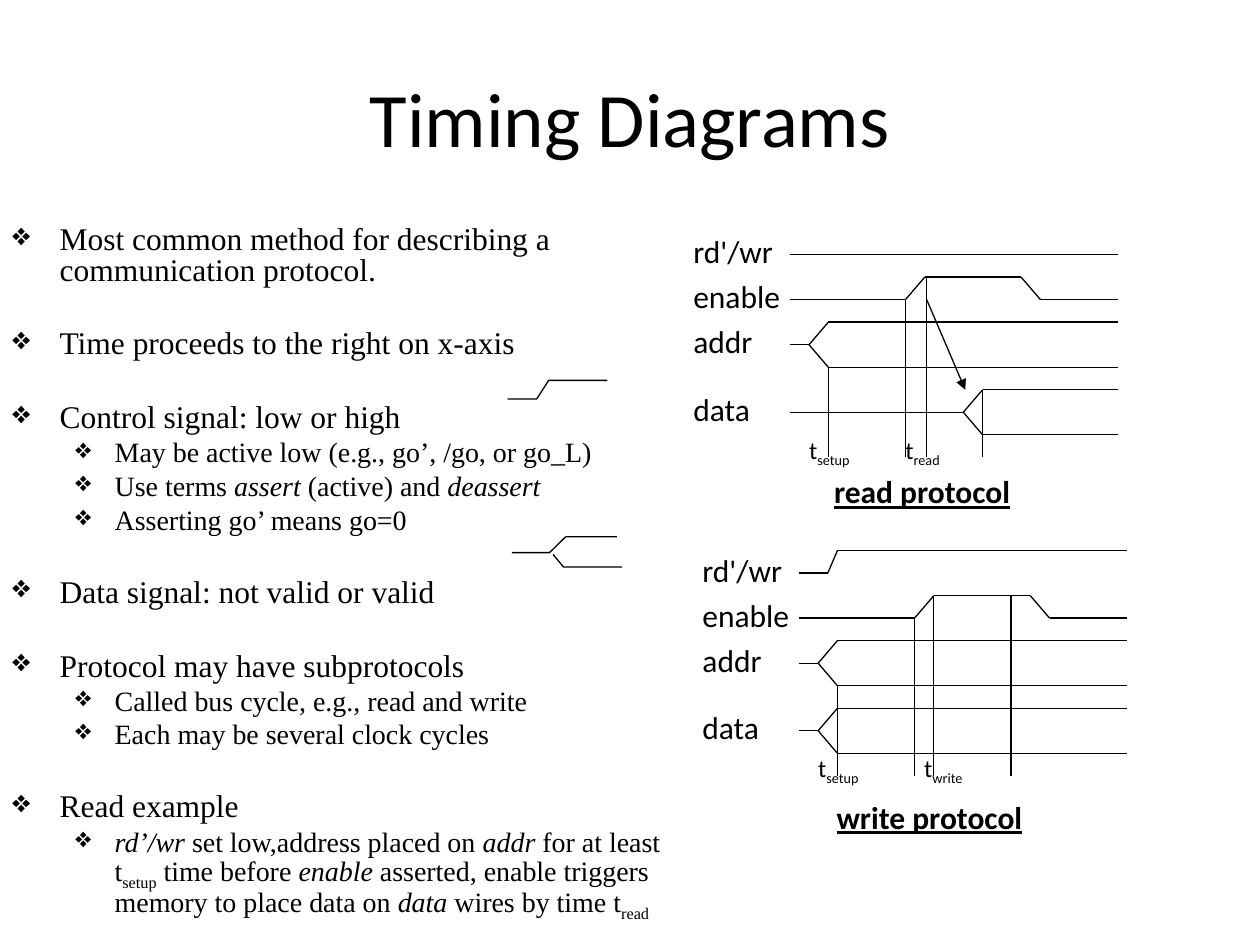
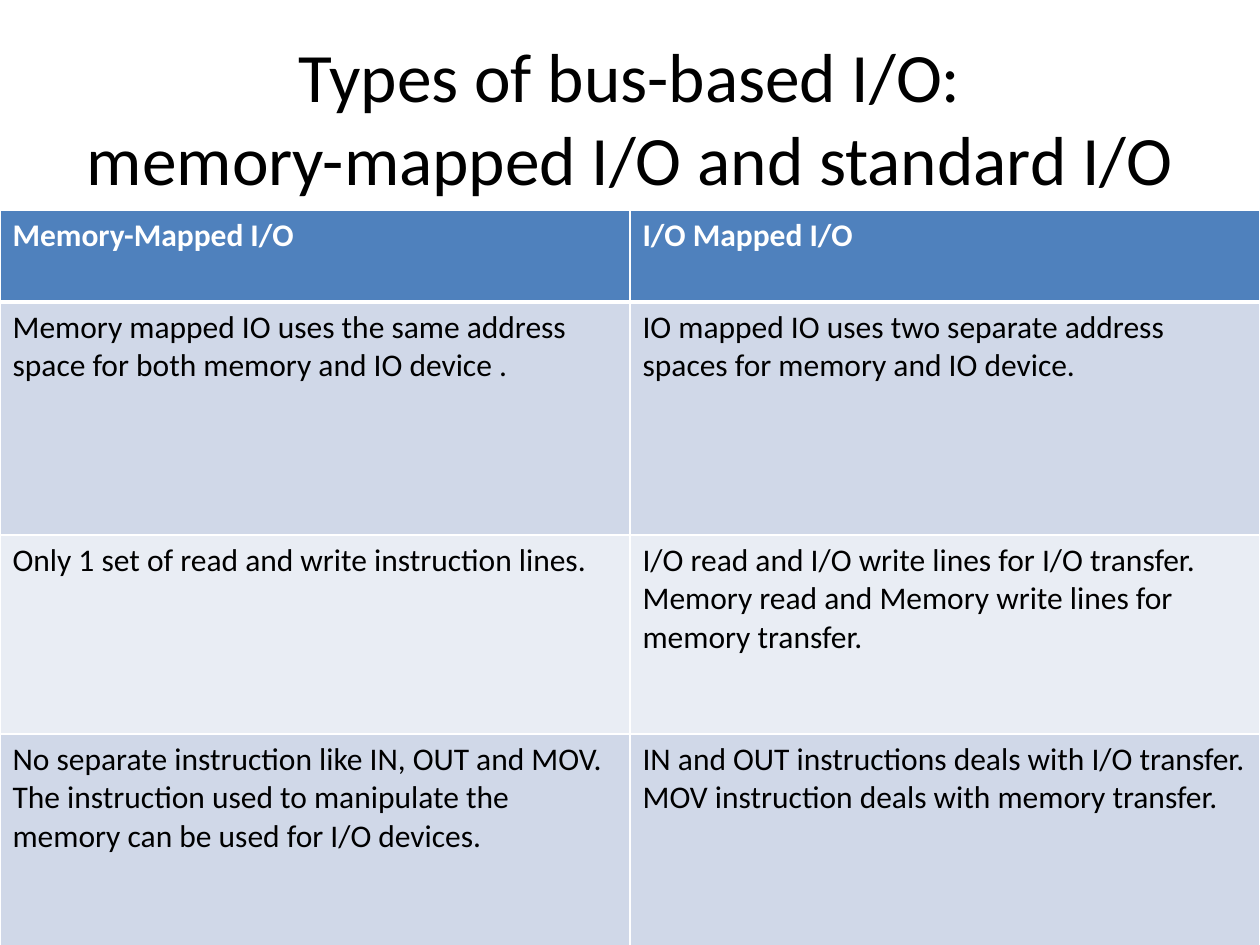
"""Build two slides on bus timing diagrams and types of bus-based I/O."""
from itertools import pairwise

from lxml import etree
from pptx import Presentation
from pptx.dml.color import RGBColor
from pptx.enum.shapes import MSO_CONNECTOR
from pptx.enum.text import MSO_ANCHOR, PP_ALIGN
from pptx.oxml.ns import qn
from pptx.util import Pt

rgb = RGBColor.from_string
BLACK, WHITE = "000000", "FFFFFF"
HEADER, BAND, PALE = "4F81BD", "D0D8E8", "E9EDF4"
STEP, LEVEL = 11.02, 12.87


def add_text(s, box, runs, size, inset=0, bold=False):
    """Add a one-paragraph text box; a run is (text, style), style i or sub."""
    sp = s.shapes.add_textbox(*map(Pt, box))
    tf = sp.text_frame
    tf.margin_left = tf.margin_right = Pt(2 * inset)
    tf.margin_top = tf.margin_bottom = Pt(inset)
    write_runs(tf.paragraphs[0], runs, size, "Calibri", bold)
    return tf


def write_runs(p, runs, size, face="Calibri", bold=False, color=BLACK):
    """Fill a paragraph with runs in one font."""
    p.text = ""
    for text, style in [(r, "") if isinstance(r, str) else r for r in runs]:
        start = len(p.runs)
        if "\v" in text:
            p.text = text
        else:
            p.add_run().text = text
        for r in p.runs[start:]:
            r.font.name = face
            r.font.size = Pt(size)
            r.font.bold = bold
            r.font.color.rgb = rgb(color)
            if style == "i":
                r.font.italic = True
            if style == "sub":
                r.font._element.set("baseline", "-25000")


prs = Presentation()
prs.slide_width, prs.slide_height = Pt(720), Pt(540)

titles = [
    ("Timing Diagrams", 44),
    ("Types of bus-based I/O:\vmemory-mapped I/O and standard I/O", 39.6),
]
for title, size in titles:
    s = prs.slides.add_slide(prs.slide_layouts[6])
    tf = add_text(s, (36, 21.6, 648, 90), [title], size, inset=3.6)
    tf.word_wrap = True
    tf.vertical_anchor = MSO_ANCHOR.MIDDLE
    tf.paragraphs[0].alignment = PP_ALIGN.CENTER
timing, bus_io = prs.slides

bullets = [
    (0, ["Most common method for describing a communication protocol."]),
    (0, ["Time proceeds to the right on x-axis"]),
    (0, ["Control signal: low or high"]),
    (1, ["May be active low (e.g., go’, /go, or go_L)"]),
    (1, ["Use terms ", ("assert", "i"), " (active) and ", ("deassert", "i")]),
    (1, ["Asserting go’ means go=0"]),
    (0, ["Data signal: not valid or valid"]),
    (0, ["Protocol may have subprotocols"]),
    (1, ["Called bus cycle, e.g., read and write"]),
    (1, ["Each may be several clock cycles"]),
    (0, ["Read example"]),
    (1, [("rd’/wr", "i"), " set low,address placed on ", ("addr", "i"),
         " for at least t", ("setup", "sub"), " time before ", ("enable", "i"),
         " asserted, enable triggers memory to place data on ", ("data", "i"),
         " wires by time t", ("read", "sub")]),
]
tf = timing.shapes.add_textbox(Pt(0), Pt(126), Pt(393), Pt(414)).text_frame
tf.word_wrap = True
for i, (level, runs) in enumerate(bullets):
    p = tf.paragraphs[0] if i == 0 else tf.add_paragraph()
    p.level = level
    p.line_spacing = 0.8
    p.space_before = Pt(0 if i == 0 else (24.9, 3.8)[level])
    pPr = p._p.get_or_add_pPr()
    pPr.set("marL", str(Pt((27, 58.5)[level])))
    pPr.set("indent", str(-Pt((27, 22.5)[level])))
    etree.SubElement(pPr, qn("a:buChar")).set("char", "❖")
    write_runs(p, runs, (18, 16)[level], "Times New Roman")

labels = [("rd'/wr", -1), ("enable", 1), ("addr", 3), ("data", 6)]
enable = [(0, 2), (6, 2), (7, 1), (12, 1), (13, 2), (17, 2)]
addr = [[(0, 4), (1, 4), (2, 3), (17, 3)], [(1, 4), (2, 5), (17, 5)]]
protocols = [
    ("read", 451.3, 145.5, [(0, 0), (17, 0)], 9, 6, (476.6, 270),
     [(2, 5), (6, 2), (7.1, 1), (10, 6)]),
    ("write", 456.5, 327.5, [(0, 0), (1.5, 0), (2, -1), (17, -1)], 1, 6.5, (478, 455.8),
     [(2, 5), (6, 2), (7, 1), (11, 1)]),
]
for name, left, top, rd_wr, valid, t_column, caption, markers in protocols:
    for label, level in labels:
        add_text(timing, (left - 5 * STEP, top + level * LEVEL, 5 * STEP, 2 * LEVEL), [label], 18)
    for sub, column in [("setup", 1), (name, t_column)]:
        add_text(timing, (left + column * STEP, top + 8 * LEVEL, 5 * STEP, 2 * LEVEL),
                 ["t", (sub, "sub")], 14)
    tf = add_text(timing, (*caption, 112, 19.5), [f"{name} protocol"], 18, bold=True)
    tf.paragraphs[0].runs[0].font.underline = True

    data = [[(0, 7), (valid, 7), (valid + 1, 6), (17, 6)],
            [(valid, 7), (valid + 1, 8), (17, 8)]]
    waves = [rd_wr, enable, *addr, *data]
    waves += [[(column, level), (column, 9)] for column, level in markers]
    if name == "read":
        waves.append([(7.1, 2), (9.1, 6)])
    for wave in waves:
        for (x1, y1), (x2, y2) in pairwise(wave):
            line = timing.shapes.add_connector(
                MSO_CONNECTOR.STRAIGHT,
                Pt(left + x1 * STEP), Pt(top + y1 * LEVEL),
                Pt(left + x2 * STEP), Pt(top + y2 * LEVEL))
            line.line.color.rgb = rgb(BLACK)
            line.line.width = Pt(0.75)
            etree.SubElement(line._element.spPr, qn("a:effectLst"))
    if name == "read":
        etree.SubElement(line.line._get_or_add_ln(), qn("a:tailEnd")).set("type", "triangle")

signal_icons = [
    [(290, 228), (306.7, 228), (313.5, 217.4), (347, 217.4)],
    [(292.5, 315.8), (314, 315.8), (323.2, 306.8), (352.5, 306.8)],
    [(316, 316.8), (322, 324), (355.5, 324)],
]
for icon in signal_icons:
    start, *rest = [(Pt(x), Pt(y)) for x, y in icon]
    outline = timing.shapes.build_freeform(*start)
    outline.add_line_segments(rest, close=False)
    sp = outline.convert_to_shape()
    sp.shadow.inherit = False
    sp.fill.background()
    sp.line.color.rgb = rgb(BLACK)
    sp.line.width = Pt(0.75)

rows = [
    (52.6, HEADER, ["Memory-Mapped I/O"], ["I/O Mapped I/O"]),
    (133.2, BAND,
     ["Memory mapped IO uses the same address space for both memory and IO device ."],
     ["IO mapped IO uses two separate address spaces for memory and IO device."]),
    (113.8, PALE,
     ["Only 1 set of read and write instruction lines."],
     ["I/O read and I/O write lines for I/O transfer.",
      "Memory read and Memory write lines for memory transfer."]),
    (177, BAND,
     ["No separate instruction like IN, OUT and MOV. The instruction used to "
      "manipulate the memory can be used for I/O devices."],
     ["IN and OUT instructions deals with I/O transfer.",
      "MOV instruction deals with memory transfer."]),
]
table = bus_io.shapes.add_table(len(rows), 2, Pt(0), Pt(120), Pt(720), Pt(476.6)).table
for i, (height, fill, *cells) in enumerate(rows):
    table.rows[i].height = Pt(height)
    for j, lines in enumerate(cells):
        cell = table.cell(i, j)
        tcPr = cell._tc.get_or_add_tcPr()
        for side in ("lnL", "lnR", "lnT", "lnB"):
            thick = (i, side) in [(0, "lnB"), (1, "lnT")]
            ln = etree.SubElement(tcPr, qn(f"a:{side}"), w=str(Pt(3 if thick else 1)))
            solid = etree.SubElement(ln, qn("a:solidFill"))
            etree.SubElement(solid, qn("a:srgbClr"), val=WHITE)
        cell.fill.solid()
        cell.fill.fore_color.rgb = rgb(fill)
        for k, text in enumerate(lines):
            p = cell.text_frame.paragraphs[0] if k == 0 else cell.text_frame.add_paragraph()
            write_runs(p, [text], 18, bold=i == 0, color=WHITE if i == 0 else BLACK)

prs.save("out.pptx")
